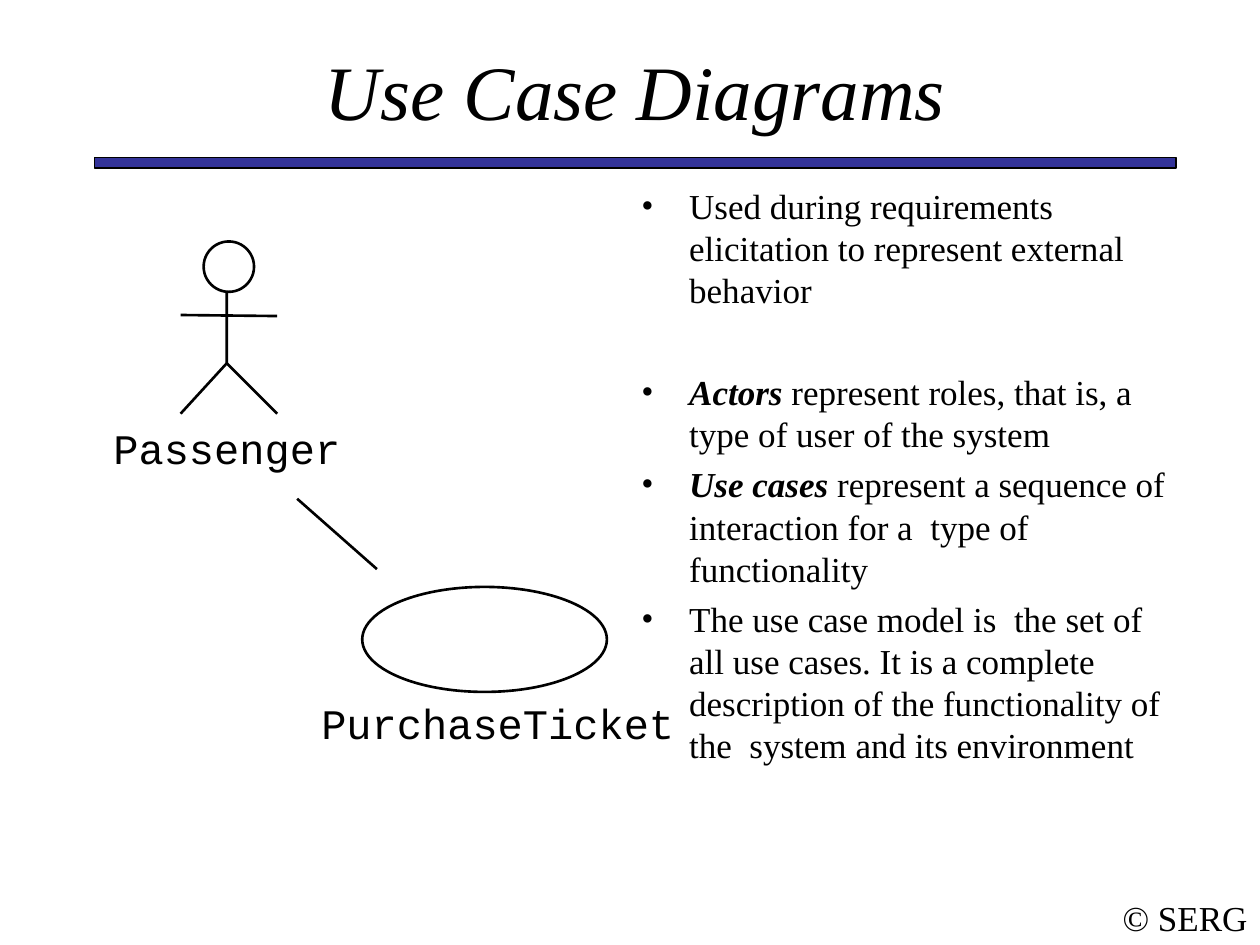
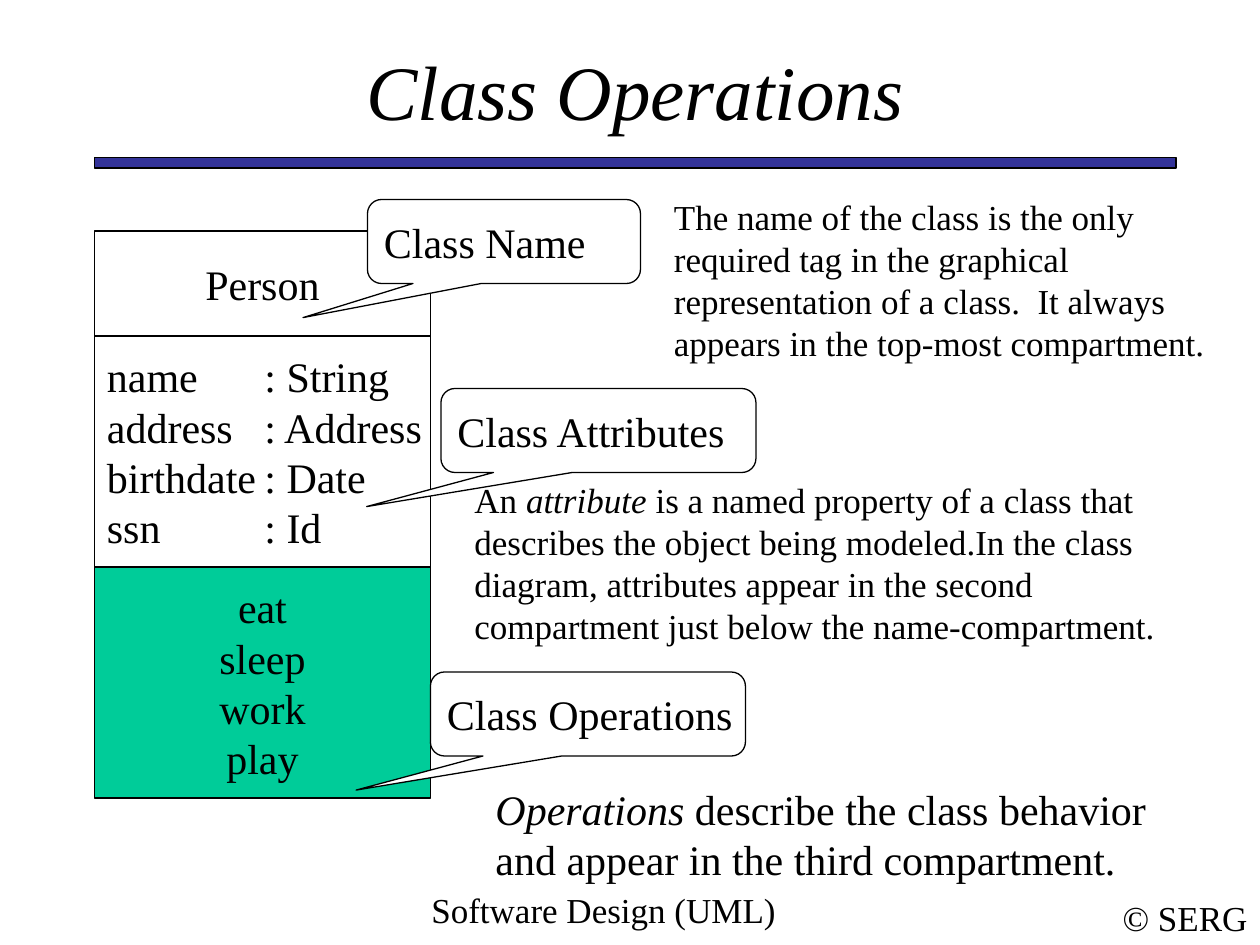
import dataclasses

import lxml.etree
import pptx
import pptx.dml.color
import pptx.enum.shapes
import pptx.enum.text
import pptx.oxml.ns
import pptx.util

SHAPE = pptx.enum.shapes.MSO_SHAPE
ALIGN = pptx.enum.text.PP_ALIGN
ANCHOR = pptx.enum.text.MSO_ANCHOR
CELLS_PER_INCH = 12  # the slide is a grid of 120 columns by 90 rows


@dataclasses.dataclass(frozen=True)
class Theme:
    ink: str = "000000"
    paper: str = "FFFFFF"
    band: str = "333399"
    highlight: str = "00CC99"
    serif: str = "Times New Roman"
    mono: str = "Courier New"
    title_size: int = 44
    label_size: int = 24
    body_size: int = 20
    thin: float = 0.75
    thick: float = 1.5
    paragraph_gap: int = 5
    section_gap: int = 34


THEME = Theme()


def cells(count):
    return pptx.util.Inches(count / CELLS_PER_INCH)


def area(*counts):
    return [cells(count) for count in counts]


def color(value):
    return pptx.dml.color.RGBColor.from_string(value)


# Text: a paragraph is a list of (text, style) runs, style holding "b" and "i"
def write(paragraph, runs, size, font=THEME.serif, align=ALIGN.LEFT):
    paragraph.alignment = align
    for text, style in runs:
        run = paragraph.add_run()
        run.text = text
        run.font.name = font
        run.font.size = pptx.util.Pt(size)
        run.font.color.rgb = color(THEME.ink)
        run.font.bold = "b" in style
        run.font.italic = "i" in style


def fill_text(frame, paragraphs, size, wrap=True, **style):
    frame.word_wrap = wrap
    for index, runs in enumerate(paragraphs):
        paragraph = frame.add_paragraph() if index else frame.paragraphs[0]
        write(paragraph, runs, size, **style)


def plain(*lines):
    return [[(line, "")] for line in lines]


def add_text(shapes, place, paragraphs, size=THEME.body_size, inset=True, **style):
    frame = shapes.add_textbox(*area(*place)).text_frame
    if not inset:
        frame.margin_left = frame.margin_right = 0
        frame.margin_top = frame.margin_bottom = 0
    fill_text(frame, paragraphs, size, **style)
    return frame


def add_bullet(paragraph):
    indent = pptx.util.Inches(0.38)
    properties = paragraph._p.get_or_add_pPr()
    properties.set("marL", str(indent))
    properties.set("indent", str(-indent))
    font = lxml.etree.SubElement(properties, pptx.oxml.ns.qn("a:buFont"))
    font.set("typeface", THEME.serif)
    bullet = lxml.etree.SubElement(properties, pptx.oxml.ns.qn("a:buChar"))
    bullet.set("char", "•")


def add_tab_stop(paragraph, inches):
    properties = paragraph._p.get_or_add_pPr()
    stops = lxml.etree.SubElement(properties, pptx.oxml.ns.qn("a:tabLst"))
    stop = lxml.etree.SubElement(stops, pptx.oxml.ns.qn("a:tab"))
    stop.set("pos", str(pptx.util.Inches(inches)))
    stop.set("algn", "l")


# Outlines and lines
def paint(shape, fill, width):
    shape.shadow.inherit = False
    if fill:
        shape.fill.solid()
        shape.fill.fore_color.rgb = color(fill)
    else:
        shape.fill.background()
    shape.line.color.rgb = color(THEME.ink)
    shape.line.width = pptx.util.Pt(width)


def add_outline(shapes, kind, place, fill=None, width=THEME.thin):
    shape = shapes.add_shape(kind, *area(*place))
    paint(shape, fill, width)
    return shape


def add_line(shapes, *ends):
    line = shapes.add_connector(pptx.enum.shapes.MSO_CONNECTOR.STRAIGHT, *area(*ends))
    line.line.color.rgb = color(THEME.ink)
    line.line.width = pptx.util.Pt(THEME.thick)
    lxml.etree.SubElement(line._element.spPr, pptx.oxml.ns.qn("a:effectLst"))


def add_label_box(shapes, kind, place, lines, fill=THEME.paper, align=ALIGN.LEFT):
    box = add_outline(shapes, kind, place, fill)
    box.text_frame.vertical_anchor = ANCHOR.MIDDLE
    fill_text(box.text_frame, plain(*lines), THEME.label_size, wrap=False, align=align)
    return box


def add_callout(shapes, left, top, width, label):
    callout = add_label_box(
        shapes, SHAPE.ROUNDED_RECTANGULAR_CALLOUT, (left, top, width, 8), [label])
    for index, value in enumerate((-0.736, 0.906, 0.167)):
        callout.adjustments[index] = round(value, 3)


def add_name(shapes, place, name):
    add_text(shapes, place, plain(name), THEME.label_size,
             inset=False, wrap=False, font=THEME.mono)


# Use case symbols
def add_actor(slide, name):
    shapes = slide.shapes.add_group_shape().shapes
    left, center, right = 17.2, 21.6, 26.4
    hip, foot = 34.6, 39.4
    builder = shapes.build_freeform(cells(center), cells(26.4))
    builder.add_line_segments(
        [area(center, hip), area(left, foot)], close=False)
    paint(builder.convert_to_shape(), None, THEME.thick)
    add_line(shapes, center, hip, right, foot)
    add_line(shapes, left, 30, right, 30.1)
    add_outline(shapes, SHAPE.OVAL, (19.4, 23, 4.8, 4.8), THEME.paper, THEME.thick)
    add_name(shapes, (10.8, 40.2, 24, 4.8), name)


def add_use_case(slide, name):
    shapes = slide.shapes.add_group_shape().shapes
    add_outline(shapes, SHAPE.OVAL, (34.5, 55.9, 23.3, 10), width=THEME.thick)
    add_name(shapes, (30.6, 66.4, 36, 4.8), name)


# Shared frame of every slide
def add_slide(presentation, title):
    slide = presentation.slides.add_slide(presentation.slide_layouts[5])
    mark = add_text(slide.shapes, (105.75, 84.75, 14.25, 5.25), plain("© SERG"),
                    inset=False, wrap=False, align=ALIGN.CENTER)
    mark.vertical_anchor = ANCHOR.MIDDLE
    add_outline(slide.shapes, SHAPE.RECTANGLE, (9, 15, 103, 1), THEME.band)
    heading = slide.shapes.title
    heading.left, heading.top, heading.width, heading.height = area(9, 5, 103, 7)
    heading.text_frame.auto_size = pptx.enum.text.MSO_AUTO_SIZE.NONE
    heading.text_frame.vertical_anchor = ANCHOR.MIDDLE
    fill_text(heading.text_frame, [[(title, "i")]], THEME.title_size, align=ALIGN.CENTER)
    return slide


def build_use_cases(presentation):
    slide = add_slide(presentation, "Use Case Diagrams")
    points = [
        [("Used during requirements elicitation to represent external behavior", "")],
        [("Actors", "bi"),
         (" represent roles, that is, a type of user of the system", "")],
        [("Use cases", "bi"),
         (" represent a sequence of interaction for a  type of functionality", "")],
        [("The use case model is  the set of all use cases. It is a complete "
          "description of the functionality of the  system and its environment", "")],
    ]
    gaps = (0, THEME.section_gap, THEME.paragraph_gap, THEME.paragraph_gap)
    frame = add_text(slide.shapes, (59.9, 17, 53.1, 64.5), points)
    for paragraph, gap in zip(frame.paragraphs, gaps):
        add_bullet(paragraph)
        paragraph.space_before = pptx.util.Pt(gap)

    # Diagram
    add_actor(slide, "Passenger")
    add_use_case(slide, "PurchaseTicket")
    add_line(slide.shapes, 28.3, 47.5, 35.9, 54.2)


def build_class_operations(presentation):
    slide = add_slide(presentation, "Class Operations")
    shapes = slide.shapes
    add_text(shapes, (31, 84, 53, 6), plain("Software Design (UML)"), align=ALIGN.CENTER)

    # Class box with three stacked compartments
    attributes = ["name\t: String", "address\t: Address", "birthdate\t: Date", "ssn\t: Id"]
    compartments = [
        (10, ["Person"], THEME.paper, ALIGN.CENTER),
        (22, attributes, THEME.paper, ALIGN.LEFT),
        (22, ["eat", "sleep", "work", "play"], THEME.highlight, ALIGN.CENTER),
    ]
    class_box = shapes.add_group_shape().shapes
    top = 22
    for height, lines, fill, align in compartments:
        box = add_label_box(
            class_box, SHAPE.RECTANGLE, (9, top, 32, height), lines, fill, align)
        if lines is attributes:
            for paragraph in box.text_frame.paragraphs:
                add_tab_stop(paragraph, 1.25)
        top += height

    # Callouts and explanations
    add_text(shapes, (46, 74, 65.4, 10.8),
             [[("Operations ", "i"), ("describe the class behavior", "")],
              [("and appear in the third compartment.", "")]],
             THEME.label_size, wrap=False)
    add_callout(shapes, 35, 19, 26, "Class Name")
    add_callout(shapes, 42, 37, 30, "Class Attributes")
    add_callout(shapes, 41, 64, 30, "Class Operations")
    add_text(shapes, (44, 45, 74, 17.3),
             [[("An ", ""), ("attribute", "i"),
               (" is a named property of a class that describes the object being "
                "modeled.In the class diagram, attributes appear in the second "
                "compartment just below the name-compartment.", "")]])
    add_text(shapes, (63, 18, 57, 17.3),
             plain("The name of the class is the only required tag in the graphical "
                   "representation of a class.  It always appears in the top-most "
                   "compartment."))


def main():
    presentation = pptx.Presentation()
    presentation.slide_width, presentation.slide_height = area(120, 90)
    build_use_cases(presentation)
    build_class_operations(presentation)
    presentation.save("out.pptx")


if __name__ == "__main__":
    main()
